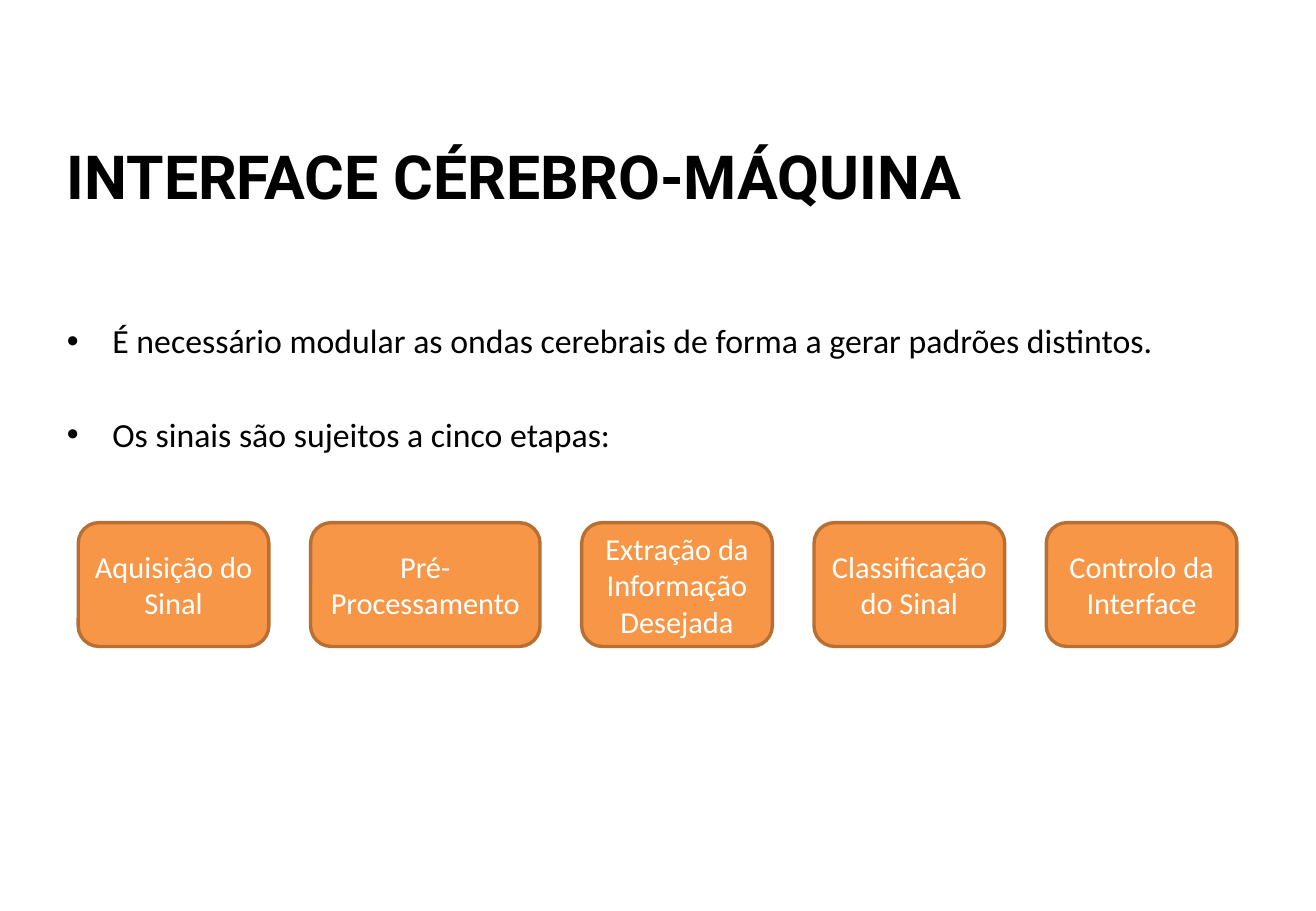
from pptx import Presentation
from pptx.dml.color import RGBColor
from pptx.enum.shapes import MSO_SHAPE
from pptx.enum.text import MSO_ANCHOR, PP_ALIGN
from pptx.util import Pt

# Content
TITLE = "INTERFACE CÉREBRO-MÁQUINA"
POINTS = [
    "É necessário modular as ondas cerebrais de forma a gerar padrões distintos.",
    "Os sinais são sujeitos a cinco etapas:",
]
NARROW, WIDE = 113, 136
STEPS = [
    ("Aquisição do Sinal", NARROW),
    ("Pré-Processamento", WIDE),
    ("Extração da Informação Desejada", NARROW),
    ("Classificação do Sinal", NARROW),
    ("Controlo da Interface", NARROW),
]
COLORS = {"text": "000000", "fill": "F79646", "line": "B76F34", "label": "FFFFFF"}

# Layout in points
LEFT, WIDTH = 32.4, 712
STEP_LEFT, STEP_TOP, STEP_HEIGHT, GAP = 46.4, 309.8, 73.4, 24.7
INSET = 5


def color(name):
    return RGBColor.from_string(COLORS[name])


def place(shape, left, top, width, height):
    shape.left, shape.top = Pt(left), Pt(top)
    shape.width, shape.height = Pt(width), Pt(height)


def style(par, face, size, tone, align, bold=False):
    par.alignment = align
    par.font.name, par.font.size, par.font.bold = face, Pt(size), bold
    par.font.color.rgb = color(tone)


deck = Presentation()
deck.slide_width, deck.slide_height = Pt(780), Pt(540)
slide = deck.slides.add_slide(deck.slide_layouts[1])

# Title
title = slide.shapes.title
place(title, LEFT, 78.5, WIDTH, 45.4)
title.text_frame.text = TITLE
title.text_frame.vertical_anchor = MSO_ANCHOR.TOP
style(title.text_frame.paragraphs[0], "Roboto", 36, "text", PP_ALIGN.LEFT, True)

# Bullet list
body = slide.placeholders[1]
place(body, LEFT, 186.2, WIDTH, 100)
body.text_frame.text = "\n".join(POINTS)
for i, par in enumerate(body.text_frame.paragraphs):
    style(par, "Calibri", 20, "text", PP_ALIGN.LEFT)
    par.space_before = Pt(31.6 if i else 0)
    props = par._p.get_or_add_pPr()
    props.set("marL", str(Pt(27)))
    props.set("indent", str(Pt(-27)))

# Row of steps
left = STEP_LEFT
for label, width in STEPS:
    step = slide.shapes.add_shape(
        MSO_SHAPE.ROUNDED_RECTANGLE, Pt(left), Pt(STEP_TOP), Pt(width), Pt(STEP_HEIGHT)
    )
    step.shadow.inherit = False
    step.fill.solid()
    step.fill.fore_color.rgb = color("fill")
    step.line.color.rgb = color("line")
    step.line.width = Pt(2)
    frame = step.text_frame
    frame.text = label
    frame.vertical_anchor = MSO_ANCHOR.MIDDLE
    frame.margin_left = frame.margin_right = Pt(INSET)
    style(frame.paragraphs[0], "Calibri", 18, "label", PP_ALIGN.CENTER)
    left += width + GAP

deck.save("out.pptx")
